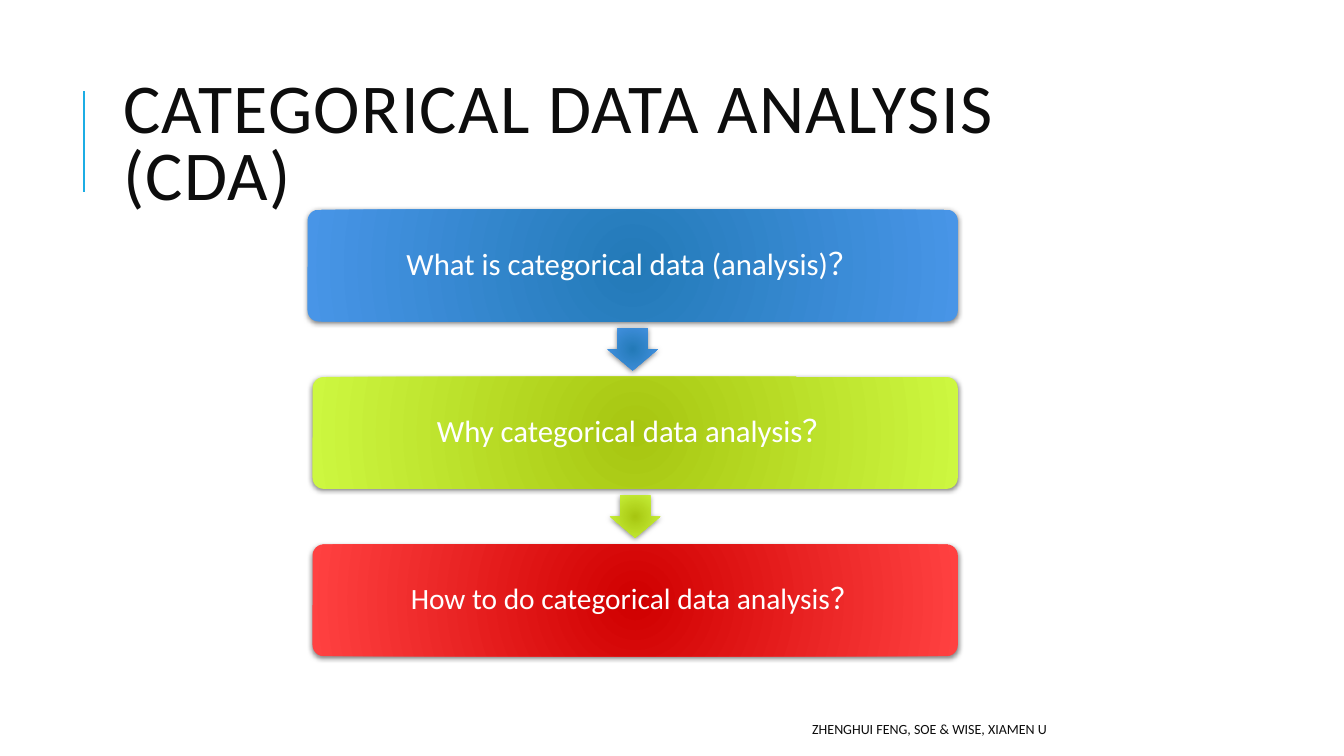
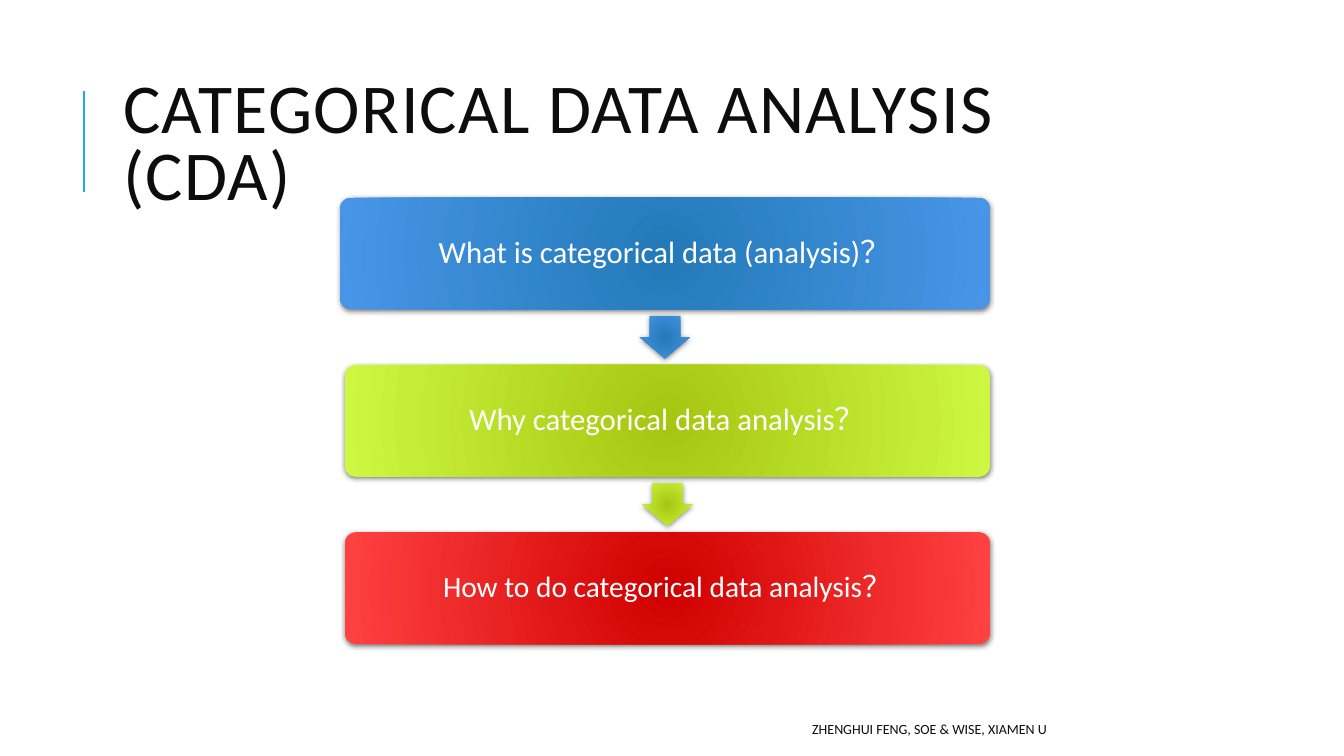
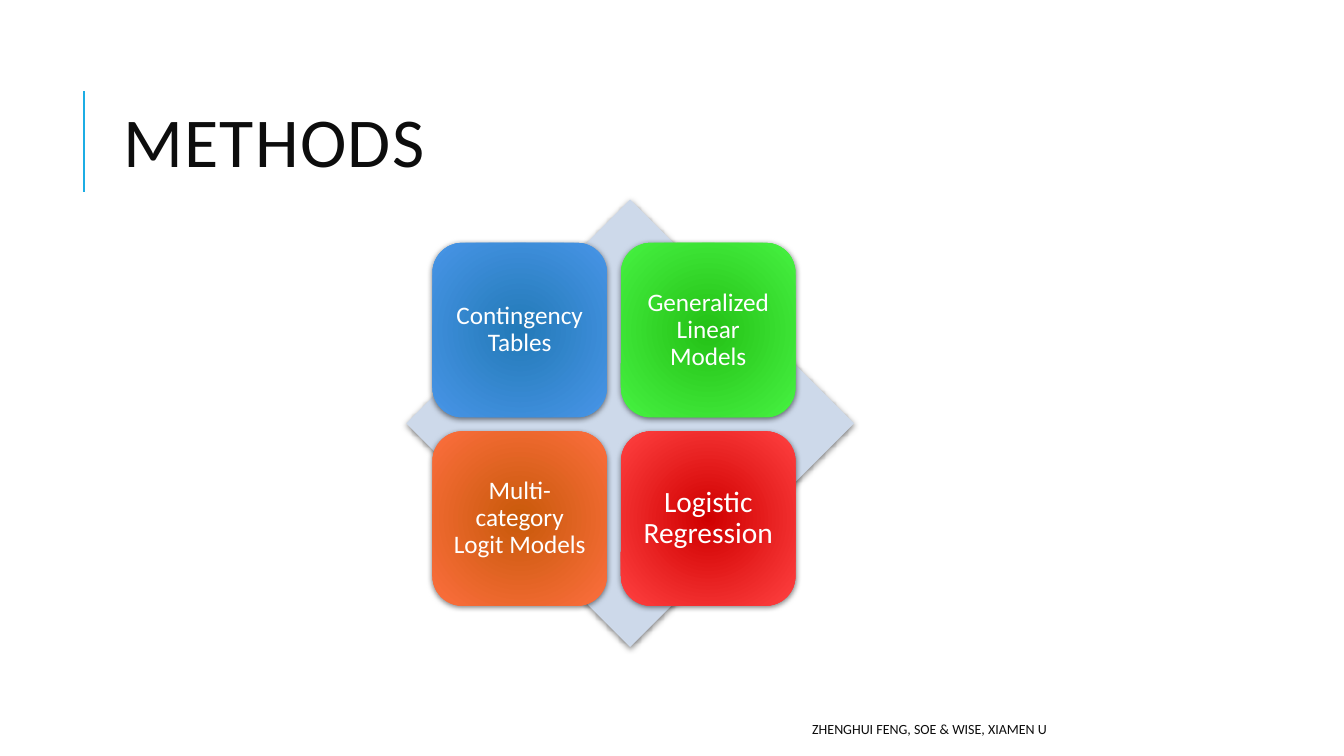
from lxml import etree
from pptx import Presentation
from pptx.dml.color import RGBColor
from pptx.enum.shapes import MSO_CONNECTOR, MSO_SHAPE
from pptx.enum.text import MSO_ANCHOR, MSO_AUTO_SIZE, PP_ALIGN
from pptx.oxml.ns import qn
from pptx.util import Inches, Pt

ROUNDED, DOWN_ARROW, DIAMOND = MSO_SHAPE.ROUNDED_RECTANGLE, MSO_SHAPE.DOWN_ARROW, MSO_SHAPE.DIAMOND
STRAIGHT = MSO_CONNECTOR.STRAIGHT
LEFT, CENTER, RIGHT = PP_ALIGN.LEFT, PP_ALIGN.CENTER, PP_ALIGN.RIGHT
MIDDLE = MSO_ANCHOR.MIDDLE
NO_AUTOFIT = MSO_AUTO_SIZE.NONE

INK = RGBColor(0x0D, 0x0D, 0x0D)
WHITE = RGBColor(0xFF, 0xFF, 0xFF)
ACCENT = RGBColor(0x1C, 0xAD, 0xE4)
PALE_BLUE = RGBColor(0xCD, 0xD9, 0xEA)
# Gradients run from the centre colour to the edge colour.
BLUE = (RGBColor(0x23, 0x7A, 0xB8), RGBColor(0x48, 0x95, 0xE7))
LIME = (RGBColor(0xA7, 0xC6, 0x11), RGBColor(0xCD, 0xF7, 0x40))
RED = (RGBColor(0xD0, 0x00, 0x00), RGBColor(0xFF, 0x41, 0x41))
GREEN = (RGBColor(0x24, 0xC1, 0x16), RGBColor(0x47, 0xF2, 0x42))
ORANGE = (RGBColor(0xC9, 0x5A, 0x0A), RGBColor(0xFC, 0x6E, 0x3E))

FOOTER = "ZHENGHUI FENG, SOE & WISE, XIAMEN U"
CDA_TITLE = "CATEGORICAL DATA ANALYSIS (CDA)"


def write_text(shape, text, size, color, alignment, line_spacing=1.0, inset=None):
    frame = shape.text_frame
    frame_format = {"word_wrap": True, "auto_size": NO_AUTOFIT, "vertical_anchor": MIDDLE}
    if inset is not None:
        for side in ("left", "top", "right", "bottom"):
            frame_format[f"margin_{side}"] = Inches(inset)
    for name, value in frame_format.items():
        setattr(frame, name, value)
    paragraph = frame.paragraphs[0]
    paragraph.alignment = alignment
    paragraph.line_spacing = line_spacing
    run = paragraph.add_run()
    run.text = text
    for name, value in {"name": "Calibri", "size": Pt(size), "bold": False}.items():
        setattr(run.font, name, value)
    run.font.color.rgb = color
    return run


def add_block(slide, preset, box, colors, adjustments=()):
    """Add a borderless shape with a soft shadow and a solid or radial fill."""
    shape = slide.shapes.add_shape(preset, *(Inches(length) for length in box))
    for index, value in enumerate(adjustments):
        shape.adjustments[index] = value
    properties = shape._element.spPr
    if len(colors) == 1:
        shape.fill.solid()
        shape.fill.fore_color.rgb = colors[0]
    else:
        shape.fill.gradient()
        for position, (stop, color) in enumerate(zip(shape.fill.gradient_stops, colors)):
            stop.position = position
            stop.color.rgb = color
        gradient = properties.find(qn("a:gradFill"))
        gradient.remove(gradient.find(qn("a:lin")))
        radial = etree.SubElement(gradient, qn("a:path"), {"path": "circle"})
        etree.SubElement(radial, qn("a:fillToRect"), dict.fromkeys("ltrb", "100000"))
    shape.line.fill.background()
    shape.shadow.inherit = False
    shadow = etree.SubElement(
        properties.find(qn("a:effectLst")), qn("a:outerShdw"),
        {"blurRad": str(Pt(4)), "dist": str(Pt(1)), "dir": "5400000", "rotWithShape": "0"})
    shadow_color = etree.SubElement(shadow, qn("a:srgbClr"), {"val": "000000"})
    etree.SubElement(shadow_color, qn("a:alpha"), {"val": "50000"})
    return shape


presentation = Presentation()
presentation.slide_width = Inches(13.33)
presentation.slide_height = Inches(7.5)

# Frame shared by all slides: accent line, title and footer
slides = []
for title_text in (CDA_TITLE, CDA_TITLE, "METHODS"):
    slide = presentation.slides.add_slide(presentation.slide_layouts[5])
    accent_line = slide.shapes.add_connector(
        STRAIGHT, Inches(0.83), Inches(1.9), Inches(0.83), Inches(0.9))
    accent_line.line.color.rgb = ACCENT
    accent_line.line.width = Pt(1.5)
    etree.SubElement(accent_line._element.spPr, qn("a:effectLst"))

    title = slide.shapes.title
    title_box = {"left": 1.12, "top": 0.64, "width": 10.63, "height": 1.64}
    for name, value in title_box.items():
        setattr(title, name, Inches(value))
    title_run = write_text(title, title_text, 50, INK, LEFT, 0.8)
    title_run.font._element.set("spc", "100")

    footer = slide.shapes.add_textbox(Inches(5.64), Inches(7.08), Inches(4.84), Inches(0.3))
    write_text(footer, FOOTER, 10, INK, RIGHT)
    slides.append(slide)

# Slides 1 and 2: three questions joined by down arrows
QUESTIONS = (
    ("What is categorical data (analysis)？", BLUE, 6.45, 22),
    ("Why categorical data analysis？", LIME, 6.4, 22),
    ("How to do categorical data analysis？", RED, 6.4, 21),
)
QUESTION_HEIGHT, QUESTION_PITCH = 1.11, 1.66
ARROW_WIDTH, ARROW_HEIGHT = 0.5, 0.42
ARROW_GAP = (QUESTION_PITCH - QUESTION_HEIGHT - ARROW_HEIGHT) / 2

for slide, right_edge, first_top in ((slides[0], 9.5, 2.08), (slides[1], 9.82, 1.96)):
    for index, (question, colors, width, size) in enumerate(QUESTIONS):
        left = right_edge - width
        top = first_top + index * QUESTION_PITCH
        block = add_block(slide, ROUNDED, (left, top, width, QUESTION_HEIGHT), colors, (0.1,))
        write_text(block, question, size, WHITE, CENTER, 0.9, 0.12)
        if index < len(QUESTIONS) - 1:
            arrow_box = (left + (width - ARROW_WIDTH) / 2, top + QUESTION_HEIGHT + ARROW_GAP,
                         ARROW_WIDTH, ARROW_HEIGHT)
            add_block(slide, DOWN_ARROW, arrow_box, colors, (0.6, 0.5))

# Slide 3: four methods in a grid over a diamond
METHODS = (
    ("Contingency Tables", BLUE, 18),
    ("Generalized Linear Models", GREEN, 18),
    ("Multi-category Logit Models", ORANGE, 18),
    ("Logistic Regression", RED, 21),
)
TILE_SIZE, TILE_PITCH = 1.73, 1.87
TILE_INSET = 0.07  # the rounded corners already narrow the text area

add_block(slides[2], DIAMOND, (4.03, 1.98, 4.44, 4.44), (PALE_BLUE,))
for index, (method, colors, size) in enumerate(METHODS):
    row, column = divmod(index, 2)
    tile_box = (4.29 + column * TILE_PITCH, 2.41 + row * TILE_PITCH, TILE_SIZE, TILE_SIZE)
    tile = add_block(slides[2], ROUNDED, tile_box, colors, (0.17,))
    write_text(tile, method, size, WHITE, CENTER, 0.9, TILE_INSET)

presentation.save("out.pptx")
